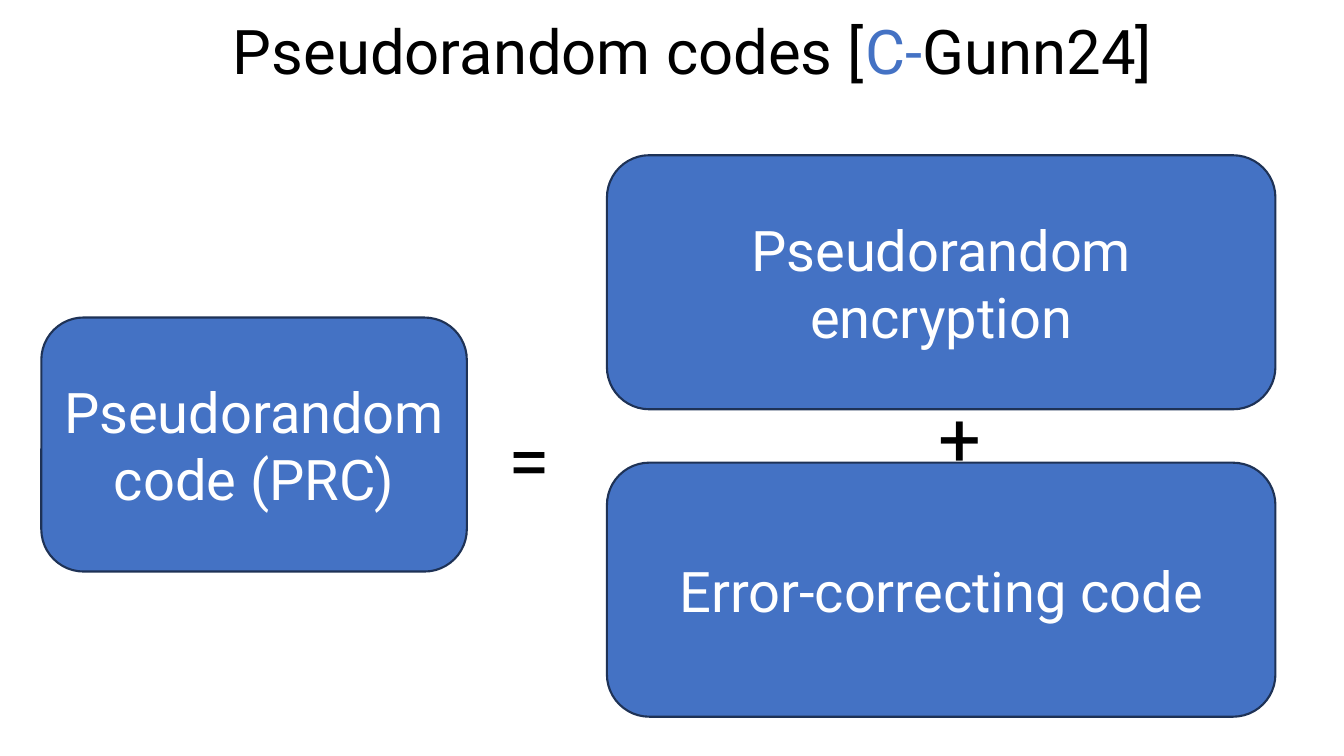
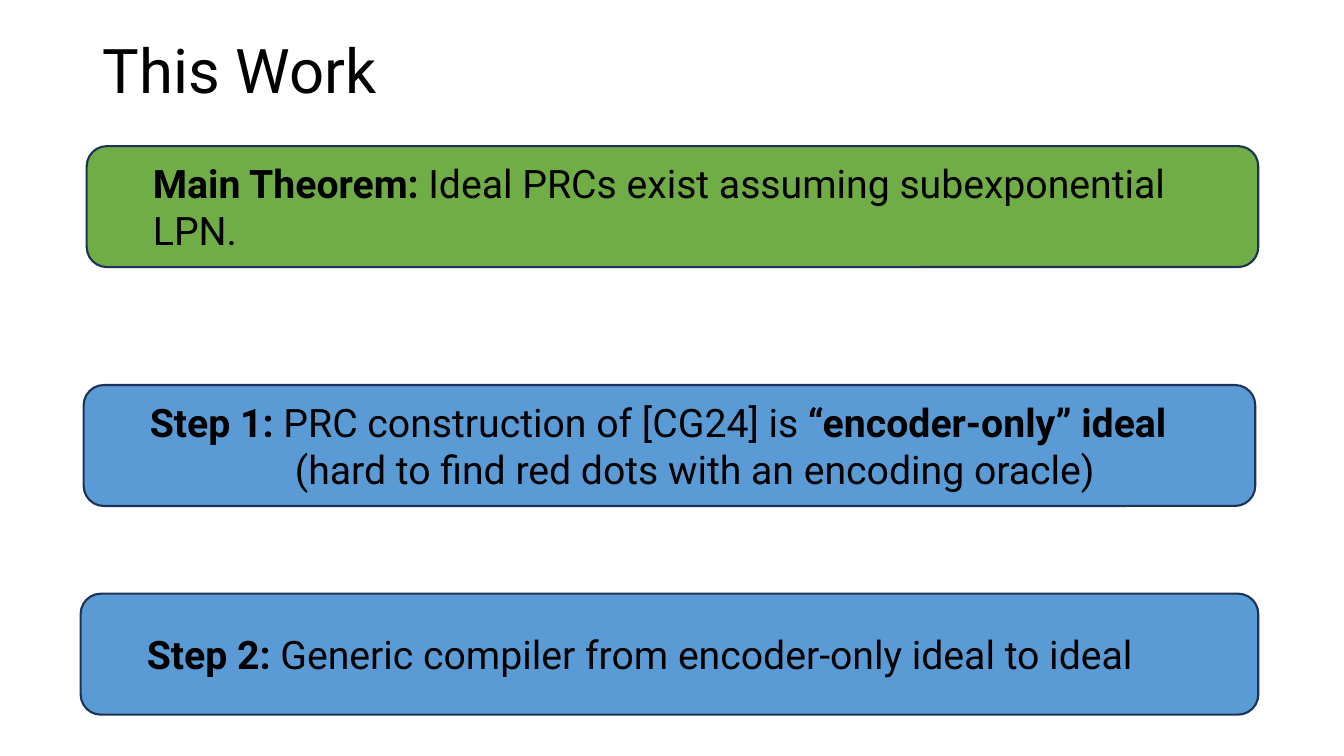
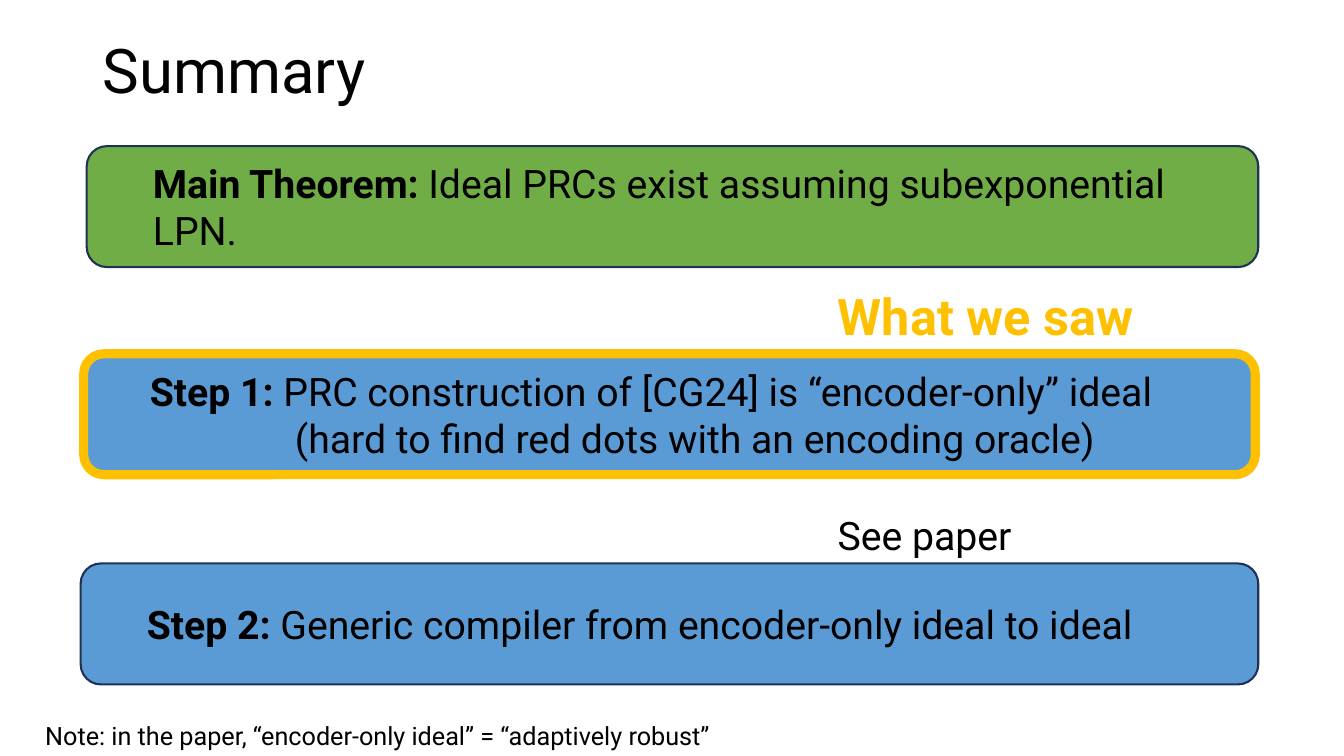
from dataclasses import dataclass

from pptx import Presentation
from pptx.dml.color import RGBColor
from pptx.enum.shapes import MSO_SHAPE
from pptx.enum.text import MSO_ANCHOR, PP_ALIGN
from pptx.util import Inches, Pt

ROUND = MSO_SHAPE.ROUNDED_RECTANGLE
LEFT, CENTER = PP_ALIGN.LEFT, PP_ALIGN.CENTER
TOP, MIDDLE = MSO_ANCHOR.TOP, MSO_ANCHOR.MIDDLE


@dataclass(frozen=True)
class Theme:
    font: str = "Roboto"
    black: str = "000000"
    white: str = "FFFFFF"
    blue: str = "4472C4"
    sky: str = "5B9BD5"
    green: str = "70AD47"
    gold: str = "FFC000"
    edge: str = "1E3256"
    title: int = 44
    sign: int = 54
    block: int = 40
    call: int = 36
    body: int = 28
    note: int = 18
    thin: float = 1.5
    thick: float = 6.5


theme = Theme()


def write(shape, paras, size, color=theme.black, anchor=TOP, indent=0, space=None):
    """Fill a shape with (alignment, [(text, bold, colour or None), ...]) paragraphs."""
    frame = shape.text_frame
    frame.word_wrap = True
    frame.vertical_anchor = anchor
    for i, (align, runs) in enumerate(paras):
        para = frame.paragraphs[0] if i == 0 else frame.add_paragraph()
        para.alignment = align
        if space:
            para.line_spacing = space
        if indent:
            para.level = 1
            props = para._p.get_or_add_pPr()
            props.set("marL", str(Inches(indent)))
            props.set("indent", "0")
        for text, bold, tint in runs:
            run = para.add_run()
            run.text = text
            run.font.name = theme.font
            run.font.size = Pt(size)
            run.font.bold = bold
            run.font.color.rgb = RGBColor.from_string(tint or color)


def panel(slide, at, fill, edge=theme.edge, width=theme.thin):
    """Add an outlined rounded box."""
    shape = slide.shapes.add_shape(ROUND, *map(Inches, at))
    shape.shadow.inherit = False
    shape.fill.solid()
    shape.fill.fore_color.rgb = RGBColor.from_string(fill)
    shape.line.color.rgb = RGBColor.from_string(edge)
    shape.line.width = Pt(width)
    return shape


deck = Presentation()
deck.slide_width, deck.slide_height = Inches(13.33), Inches(7.5)
blank = deck.slide_layouts[6]

# Slides and titles
wide = (0.92, 0, 11.5, 1.45)
heads = [
    ((0.41, -0.18, 12.92, 1.45), CENTER,
     [("Pseudorandom codes [", False, None), ("C-", False, theme.blue),
      ("Gunn24]", False, None)]),
    (wide, LEFT, [("This Work", False, None)]),
    (wide, LEFT, [("Summary", False, None)]),
]
slides = []
for at, align, runs in heads:
    slide = deck.slides.add_slide(blank)
    box = slide.shapes.add_textbox(*map(Inches, at))
    write(box, [(align, runs)], theme.title, anchor=MIDDLE, space=0.9)
    slides.append(slide)
codes, work, recap = slides

# Pseudorandom codes: the equation of blocks
blocks = [
    (6.02, 1.54, 6.63, "Pseudorandom encryption"),
    (6.02, 4.59, 6.63, "Error-correcting code"),
    (0.41, 3.15, 4.22, "Pseudorandom code (PRC)"),
]
for left, top, width, text in blocks:
    box = panel(codes, (left, top, width, 2.52), theme.blue)
    write(box, [(CENTER, [(text, False, None)])], theme.block, theme.white, MIDDLE)

# This Work and Summary: theorem and two steps
theorem = [(LEFT, [("Main Theorem:", True, None),
                   (" Ideal PRCs exist assuming subexponential LPN.", False, None)])]
second = [(LEFT, [("Step 2: ", True, None),
                  ("Generic compiler from encoder-only ideal to ideal", False, None)])]
plans = [
    (work, 3.82, 5.89, True, theme.edge, theme.thin),
    (recap, 3.51, 5.59, False, theme.gold, theme.thick),
]
for slide, top1, top2, strong, edge, width in plans:
    first = [
        (LEFT, [("Step 1: ", True, None),
                ("PRC construction of [CG24] is ", False, None),
                ("“encoder-only” ideal", strong, None)]),
        (CENTER, [("(hard to find red dots with an encoding oracle)", False, None)]),
    ]
    rows = [
        (0.86, 1.45, 11.62, theme.green, theme.edge, theme.thin, theorem),
        (0.83, top1, 11.62, theme.sky, edge, width, first),
        (0.8, top2, 11.68, theme.sky, theme.edge, theme.thin, second),
    ]
    for left, top, span, fill, line, weight, paras in rows:
        box = panel(slide, (left, top, span, 1.2), fill, line, weight)
        write(box, paras, theme.body, anchor=MIDDLE, indent=0.5)

# Signs, call-outs and the note
labels = [
    (codes, (4.95, 4.05, 0.74, 1.01), "=", theme.sign, False, theme.black),
    (codes, (9.21, 3.83, 0.74, 1.01), "+", theme.sign, False, theme.black),
    (recap, (8.21, 2.78, 3.68, 0.71), "What we saw", theme.call, True, theme.gold),
    (recap, (8.21, 5.02, 3.68, 0.57), "See paper", theme.body, False, theme.black),
    (recap, (0.35, 7.1, 8.38, 0.4),
     "Note: in the paper, “encoder-only ideal” = “adaptively robust”",
     theme.note, False, theme.black),
]
for slide, at, text, size, bold, color in labels:
    box = slide.shapes.add_textbox(*map(Inches, at))
    write(box, [(LEFT, [(text, bold, None)])], size, color)

deck.save("out.pptx")
